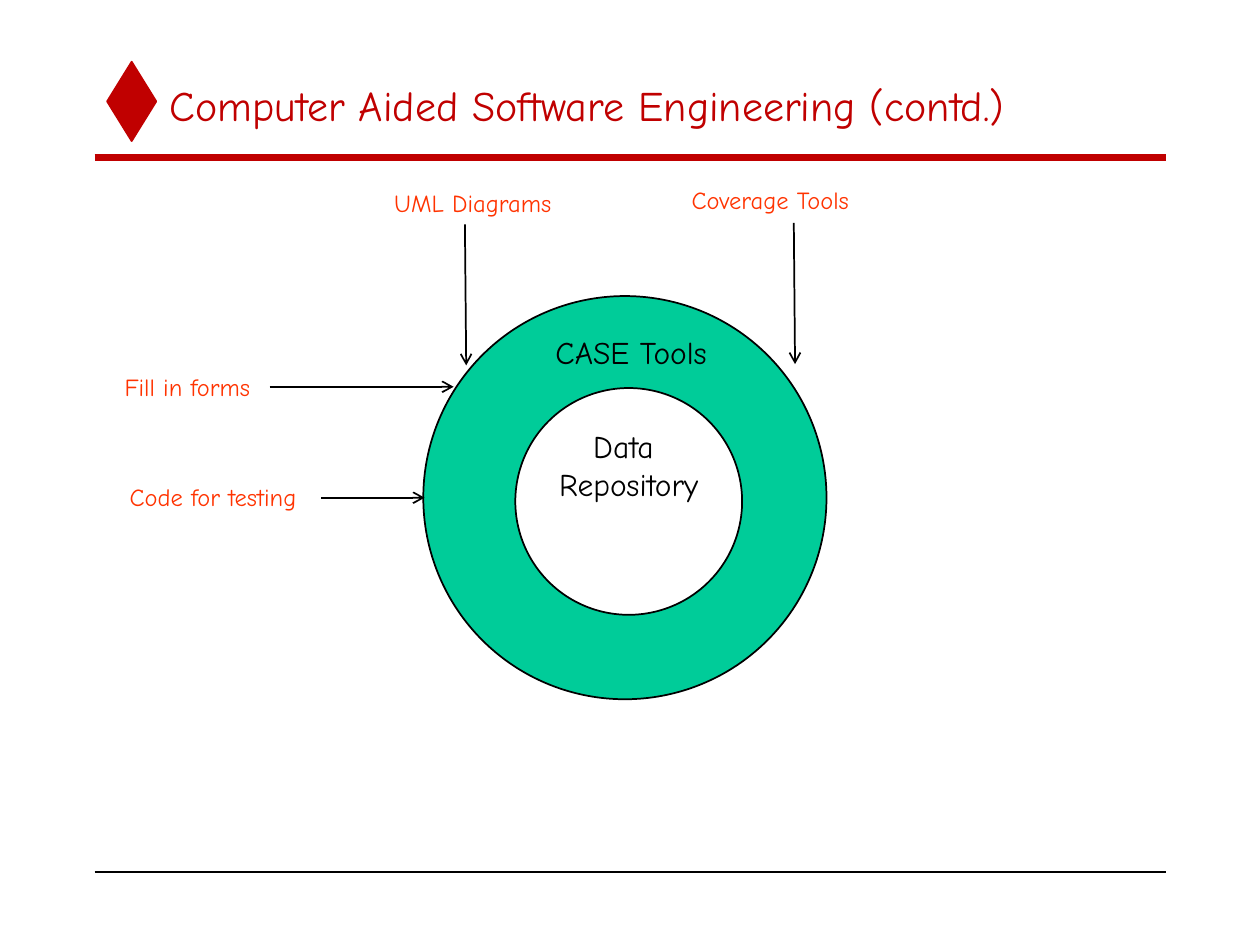
from lxml import etree
from pptx import Presentation
from pptx.dml.color import RGBColor
from pptx.enum.shapes import MSO_CONNECTOR, MSO_SHAPE
from pptx.enum.text import MSO_ANCHOR, PP_ALIGN
from pptx.oxml.ns import qn
from pptx.util import Inches, Pt

STRAIGHT = MSO_CONNECTOR.STRAIGHT
DIAMOND, OVAL = MSO_SHAPE.DIAMOND, MSO_SHAPE.OVAL
TOP, MIDDLE = MSO_ANCHOR.TOP, MSO_ANCHOR.MIDDLE
LEFT, CENTER = PP_ALIGN.LEFT, PP_ALIGN.CENTER

THEME = {
    "font": "Comic Neue",
    "title": 24, "tool": 18, "input": 14,
    "red": "C00000", "orange": "FF3300", "green": "00CC99",
    "black": "000000", "white": "FFFFFF",
}

TITLE = "Computer Aided Software Engineering (contd.)"
TOOLS = "CASE Tools"
REPOSITORY = "Data \nRepository"

# label, label left, top, width, arrow start, arrow end
INPUTS = [
    ("UML Diagrams", 3.03, 1.44, 1.45, (3.69, 1.78), (3.70, 2.90)),
    ("Fill in forms", 0.89, 2.90, 1.20, (2.14, 3.07), (3.60, 3.07)),
    ("Code for testing", 0.93, 3.78, 1.53, (2.55, 3.95), (3.37, 3.95)),
    ("Coverage Tools", 5.39, 1.42, 1.48, (6.30, 1.77), (6.31, 2.89)),
]
RULES = [(1.25, "red", 4), (6.92, "black", 1)]
RULE_LEFT, RULE_RIGHT = 0.75, 9.25


def color(name):
    return RGBColor.from_string(THEME[name])


def write(s, text, size, ink, align=LEFT, anchor=TOP, wrap=False):
    tf = s.text_frame
    tf.word_wrap = wrap
    tf.vertical_anchor = anchor
    tf.text = text
    for p in tf.paragraphs:
        p.alignment = align
        for r in p.runs:
            r.font.name = THEME["font"]
            r.font.size = Pt(THEME[size])
            r.font.color.rgb = color(ink)


def add_text(slide, box, *args, **kwargs):
    s = slide.shapes.add_textbox(*map(Inches, box))
    write(s, *args, **kwargs)


def add_figure(slide, kind, box, fill, line):
    s = slide.shapes.add_shape(kind, *map(Inches, box))
    s.shadow.inherit = False
    s.fill.solid()
    s.fill.fore_color.rgb = color(fill)
    s.line.color.rgb = color(line)
    s.line.width = Pt(1)
    return s


def add_line(slide, start, end, ink="black", width=1, arrow=False):
    line = slide.shapes.add_connector(STRAIGHT, *map(Inches, start + end))
    line.line.color.rgb = color(ink)
    line.line.width = Pt(width)
    props = line._element.spPr
    if arrow:
        etree.SubElement(props.find(qn("a:ln")), qn("a:tailEnd"), type="arrow")
    etree.SubElement(props, qn("a:effectLst"))


def main():
    prs = Presentation()
    prs.slide_width, prs.slide_height = Inches(10), Inches(7.5)
    slide = prs.slides.add_slide(prs.slide_layouts[6])

    add_figure(slide, DIAMOND, (0.85, 0.49, 0.39, 0.63), "red", "red")
    for y, ink, width in RULES:
        add_line(slide, (RULE_LEFT, y), (RULE_RIGHT, y), ink, width)
    add_text(slide, (1.25, 0.5, 8, 0.67), TITLE, "title", "red",
             anchor=MIDDLE, wrap=True)

    add_figure(slide, OVAL, (3.36, 2.35, 3.2, 3.2), "green", "black")
    core = add_figure(slide, OVAL, (4.09, 3.08, 1.8, 1.8), "white", "black")
    write(core, REPOSITORY, "tool", "black", align=CENTER)
    add_text(slide, (4.31, 2.59, 1.42, 0.4), TOOLS, "tool", "black")

    for label, left, top, width, start, end in INPUTS:
        add_text(slide, (left, top, width, 0.34), label, "input", "orange")
        add_line(slide, start, end, arrow=True)

    prs.save("out.pptx")


if __name__ == "__main__":
    main()
